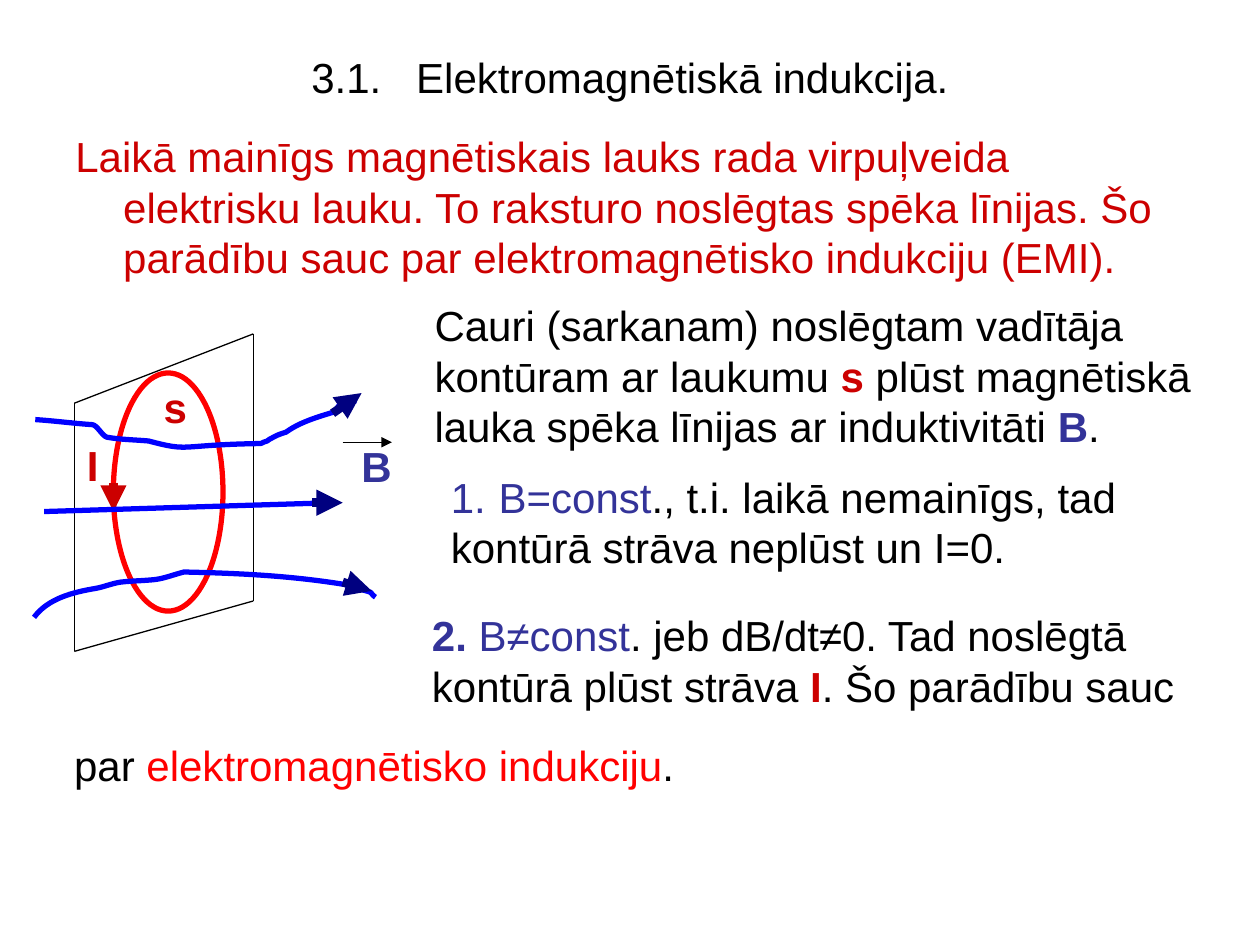
from dataclasses import dataclass

from lxml.etree import SubElement
from pptx import Presentation
from pptx.dml.color import RGBColor
from pptx.enum.shapes import MSO_CONNECTOR, MSO_SHAPE
from pptx.enum.text import MSO_ANCHOR, MSO_AUTO_SIZE, PP_ALIGN
from pptx.oxml.ns import qn
from pptx.util import Inches, Pt


@dataclass(frozen=True)
class Theme:
    """Colours, font and sizes of the slide."""
    black: str = "000000"
    white: str = "FFFFFF"
    crimson: str = "CC0000"
    red: str = "FF0000"
    indigo: str = "333399"
    blue: str = "0000FF"
    navy: str = "000080"
    font: str = "Arial"
    size: float = 24
    thin: float = 0.75
    curve: float = 3
    arrow: float = 5
    indent: float = 0.38


THEME = Theme()


def write_text(paragraph, text, color=THEME.black, bold=False):
    """Append one formatted run to a paragraph."""
    run = paragraph.add_run()
    run.text = text
    run.font.name = THEME.font
    run.font.size = Pt(THEME.size)
    run.font.bold = bold
    run.font.color.rgb = RGBColor.from_string(color)


def set_indent(paragraph, number_color=None):
    """Give a paragraph a hanging indent and, if coloured, a number."""
    properties = paragraph._p.get_or_add_pPr()
    properties.set("marL", str(Inches(THEME.indent)))
    properties.set("indent", str(-Inches(THEME.indent)))
    if number_color:
        color = SubElement(properties, qn("a:buClr"))
        SubElement(color, qn("a:srgbClr"), val=number_color)
        SubElement(properties, qn("a:buAutoNum"), type="arabicPeriod")


def smooth_outline(shape):
    """Turn each three line segments of a freeform into one cubic curve."""
    outline = next(shape._element.iter(qn("a:path")))
    segments = outline.findall(qn("a:lnTo"))
    for first in range(0, len(segments), 3):
        cubic = SubElement(outline, qn("a:cubicBezTo"))
        for segment in segments[first:first + 3]:
            cubic.append(segment[0])
            outline.remove(segment)


class SlideBuilder:
    """Draws styled elements on one slide."""

    def __init__(self, slide, theme):
        self.slide = slide
        self.theme = theme

    def text(self, left, top, width, height, paragraphs, wrap=False, right_margin=0.1,
             align=PP_ALIGN.LEFT, anchor=MSO_ANCHOR.TOP, hanging=False, number_color=None):
        """Add a text box whose paragraphs are lists of run arguments."""
        box = self.slide.shapes.add_textbox(Inches(left), Inches(top), Inches(width), Inches(height))
        frame = box.text_frame
        frame.word_wrap = wrap
        frame.auto_size = MSO_AUTO_SIZE.NONE if wrap else MSO_AUTO_SIZE.SHAPE_TO_FIT_TEXT
        frame.vertical_anchor = anchor
        frame.margin_right = Inches(right_margin)
        for index, runs in enumerate(paragraphs):
            paragraph = frame.add_paragraph() if index else frame.paragraphs[0]
            paragraph.alignment = align
            if hanging:
                set_indent(paragraph, None if index else number_color)
            for run in runs:
                write_text(paragraph, *run)

    def line(self, start, end, color=THEME.black, width=THEME.thin, arrow=False):
        """Add a straight line, with an arrowhead at its end if asked."""
        connector = self.slide.shapes.add_connector(
            MSO_CONNECTOR.STRAIGHT, *(Inches(value) for value in (*start, *end)))
        connector.line.color.rgb = RGBColor.from_string(color)
        connector.line.width = Pt(width)
        if arrow:
            SubElement(connector.line._get_or_add_ln(), qn("a:tailEnd"), type="triangle")
        SubElement(connector._element.spPr, qn("a:effectLst"))

    def outline(self, shape, color):
        """Give a shape the curve line and no shadow."""
        shape.shadow.inherit = False
        shape.line.color.rgb = RGBColor.from_string(color)
        shape.line.width = Pt(self.theme.curve)

    def ellipse(self, left, top, width, height, color):
        """Add a white ellipse with a coloured outline."""
        shape = self.slide.shapes.add_shape(
            MSO_SHAPE.OVAL, Inches(left), Inches(top), Inches(width), Inches(height))
        shape.fill.solid()
        shape.fill.fore_color.rgb = RGBColor.from_string(self.theme.white)
        self.outline(shape, color)

    def curve(self, start, segments, color):
        """Add an open curve of cubic segments."""
        builder = self.slide.shapes.build_freeform(*(Inches(value) for value in start))
        points = [(Inches(segment[i]), Inches(segment[i + 1]))
                  for segment in segments for i in (0, 2, 4)]
        builder.add_line_segments(points, close=False)
        shape = builder.convert_to_shape()
        smooth_outline(shape)
        shape.fill.background()
        self.outline(shape, color)


def draw_diagram(builder):
    """Draw the loop in its plane, the field lines and their labels."""
    theme = builder.theme
    builder.ellipse(0.9, 2.96, 0.87, 1.89, theme.red)
    corners = [(0.59, 3.2), (2.01, 2.65), (2.01, 4.77), (0.59, 5.17)]
    for start, end in zip(corners, corners[1:] + corners[:1]):
        builder.line(start, end)
    builder.line((0.9, 3.83), (0.9, 4.06), theme.crimson, theme.arrow, arrow=True)
    builder.line((0.35, 4.06), (2.64, 3.99), theme.blue, theme.curve)
    builder.curve((0.27, 4.9), [
        (0.38, 4.75, 0.58, 4.7, 0.76, 4.67),
        (0.82, 4.66, 0.89, 4.63, 0.96, 4.62),
        (1.05, 4.61, 1.14, 4.61, 1.23, 4.6),
        (1.31, 4.59, 1.38, 4.56, 1.46, 4.54),
        (1.91, 4.55, 2.31, 4.57, 2.74, 4.64),
        (2.81, 4.66, 2.87, 4.68, 2.94, 4.7),
        (2.95, 4.72, 2.98, 4.74, 2.98, 4.74),
    ], theme.blue)
    builder.curve((0.28, 3.33), [
        (0.43, 3.34, 0.58, 3.36, 0.73, 3.37),
        (0.77, 3.37, 0.81, 3.46, 0.85, 3.47),
        (0.96, 3.49, 1.07, 3.49, 1.18, 3.5),
        (1.52, 3.59, 1.4, 3.53, 2.07, 3.52),
        (2.08, 3.51, 2.1, 3.51, 2.12, 3.5),
        (2.13, 3.49, 2.15, 3.48, 2.17, 3.47),
        (2.2, 3.45, 2.27, 3.43, 2.27, 3.43),
        (2.38, 3.35, 2.52, 3.31, 2.65, 3.27),
        (2.74, 3.17, 2.67, 3.18, 2.83, 3.18),
    ], theme.blue)
    for start, end in (((2.64, 3.28), (2.87, 3.12)),
                       ((2.72, 4.62), (2.95, 4.69)),
                       ((2.48, 3.99), (2.72, 3.99))):
        builder.line(start, end, theme.navy, theme.arrow, arrow=True)
    builder.line((2.72, 3.51), (3.11, 3.51), arrow=True)
    for label, left, top, width, color in (("I", 0.59, 3.44, 0.29, theme.crimson),
                                           ("B", 2.77, 3.45, 0.44, theme.indigo),
                                           ("s", 1.2, 2.98, 0.38, theme.crimson)):
        builder.text(left, top, width, 0.5, [[(label, color, True)]])


def write_explanation(builder):
    """Write the title, the definition and the two cases."""
    theme = builder.theme
    builder.text(0.5, 0.3, 9, 0.61, [[("3.1.   Elektromagnētiskā indukcija.",)]],
                 wrap=True, align=PP_ALIGN.CENTER, anchor=MSO_ANCHOR.MIDDLE)
    builder.text(0.5, 0.99, 9, 5.71, [[(
        "Laikā mainīgs magnētiskais lauks rada virpuļveida elektrisku lauku. "
        "To raksturo noslēgtas spēka līnijas. Šo parādību sauc par "
        "elektromagnētisko indukciju (EMI).", theme.crimson)]], wrap=True, hanging=True)
    builder.text(3.35, 2.33, 6.29, 1.3, [
        [("Cauri (sarkanam) noslēgtam vadītāja",)],
        [("kontūram ar laukumu ",), ("s ", theme.crimson, True), ("plūst magnētiskā",)],
        [("lauka spēka līnijas ar induktivitāti ",), ("B", theme.indigo, True), (".",)],
    ])
    builder.text(3.48, 3.69, 5.47, 0.9, [
        [("B=const", theme.indigo), ("., t.i. laikā nemainīgs, tad",)],
        [("kontūrā strāva neplūst un I=0.",)],
    ], wrap=True, right_margin=0, hanging=True, number_color=theme.indigo)
    builder.text(3.33, 4.79, 6.09, 0.9, [
        [("2. ", theme.indigo, True), ("B≠const", theme.indigo), (". jeb dB/dt≠0. Tad noslēgtā",)],
        [("kontūrā plūst strāva ",), ("I", theme.crimson, True), (". Šo parādību sauc",)],
    ])
    builder.text(0.49, 5.82, 4.96, 0.5, [
        [("par ",), ("elektromagnētisko indukciju", theme.red), (".",)]])


def main():
    """Build and save the slide."""
    presentation = Presentation()
    presentation.slide_width, presentation.slide_height = Inches(10), Inches(7.5)
    builder = SlideBuilder(presentation.slides.add_slide(presentation.slide_layouts[6]), THEME)
    write_explanation(builder)
    draw_diagram(builder)
    presentation.save("out.pptx")


if __name__ == "__main__":
    main()
